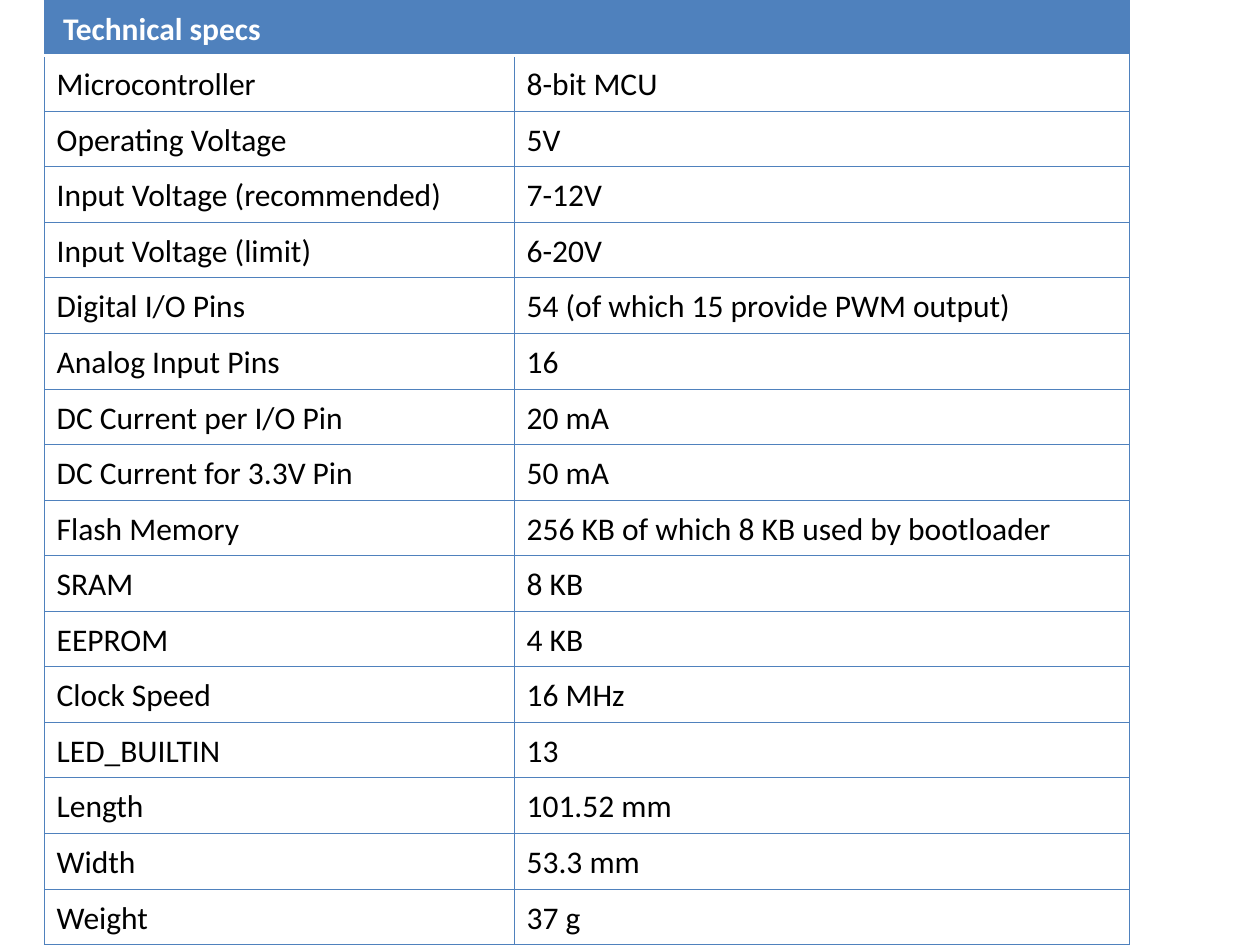
from pptx import Presentation
from pptx.dml.color import RGBColor
from pptx.enum.text import MSO_ANCHOR, PP_ALIGN
from pptx.oxml.ns import qn
from pptx.util import Inches, Pt
from lxml.etree import SubElement

BLUE, WHITE, BLACK = "4F81BD", "FFFFFF", "000000"
THIN, THICK = 0.45, 1.47

HEADING = "Technical specs"
SPECS = [
    ("Microcontroller", "8-bit MCU"),
    ("Operating Voltage", "5V"),
    ("Input Voltage (recommended)", "7-12V"),
    ("Input Voltage (limit)", "6-20V"),
    ("Digital I/O Pins", "54 (of which 15 provide PWM output)"),
    ("Analog Input Pins", "16"),
    ("DC Current per I/O Pin", "20 mA"),
    ("DC Current for 3.3V Pin", "50 mA"),
    ("Flash Memory", "256 KB of which 8 KB used by bootloader"),
    ("SRAM", "8 KB"),
    ("EEPROM", "4 KB"),
    ("Clock Speed", "16 MHz"),
    ("LED_BUILTIN", "13"),
    ("Length", "101.52 mm"),
    ("Width", "53.3 mm"),
    ("Weight", "37 g"),
]
COLUMN_WIDTHS = (3.73, 4.88)


def color(value):
    return RGBColor.from_string(value)


def set_borders(cell, top=(BLUE, THIN), bottom=(BLUE, THIN)):
    """Draw the four sides of a cell; left and right are always thin blue."""
    properties = cell._tc.get_or_add_tcPr()
    sides = {"a:lnL": (BLUE, THIN), "a:lnR": (BLUE, THIN),
             "a:lnT": top, "a:lnB": bottom}
    for tag, (line_color, width) in sides.items():
        line = SubElement(properties, qn(tag), w=str(int(Pt(width))))
        fill = SubElement(line, qn("a:solidFill"))
        SubElement(fill, qn("a:srgbClr"), val=line_color)


def write_cell(cell, text, text_color, bold=False):
    cell.vertical_anchor = MSO_ANCHOR.TOP
    para = cell.text_frame.paragraphs[0]
    para.alignment = PP_ALIGN.JUSTIFY
    para.line_spacing = 1.1
    para.font.size = Pt(18)
    if not text:
        return
    span = para.add_run()
    span.text = text
    span.font.name = "Calibri"
    span.font.size = Pt(18)
    span.font.bold = bold
    span.font.color.rgb = color(text_color)


def add_spec_table(page, left, top, height):
    row_count = len(SPECS) + 1
    frame = page.shapes.add_table(row_count, len(COLUMN_WIDTHS), Inches(left),
                                  top, Inches(sum(COLUMN_WIDTHS)), height)
    table = frame.table
    table.horz_banding = False
    for column, width in zip(table.columns, COLUMN_WIDTHS):
        column.width = Inches(width)
    for row in table.rows:
        row.height = height // row_count

    # Header row
    for cell, text in zip(table.rows[0].cells, (HEADING, "")):
        set_borders(cell, bottom=(WHITE, THICK))
        cell.fill.solid()
        cell.fill.fore_color.rgb = color(BLUE)
        cell.margin_left = Inches(0.15)
        write_cell(cell, text, WHITE, bold=True)

    # One row per specification
    for index, values in enumerate(SPECS, start=1):
        top_line = (WHITE, THICK) if index == 1 else (BLUE, THIN)
        for cell, text in zip(table.rows[index].cells, values):
            set_borders(cell, top=top_line)
            cell.fill.background()
            write_cell(cell, text, BLACK)


def main():
    deck = Presentation()
    deck.slide_width, deck.slide_height = Inches(10), Inches(7.5)
    page = deck.slides.add_slide(deck.slide_layouts[6])
    add_spec_table(page, left=0.35, top=0, height=deck.slide_height)
    deck.save("out.pptx")


if __name__ == "__main__":
    main()
